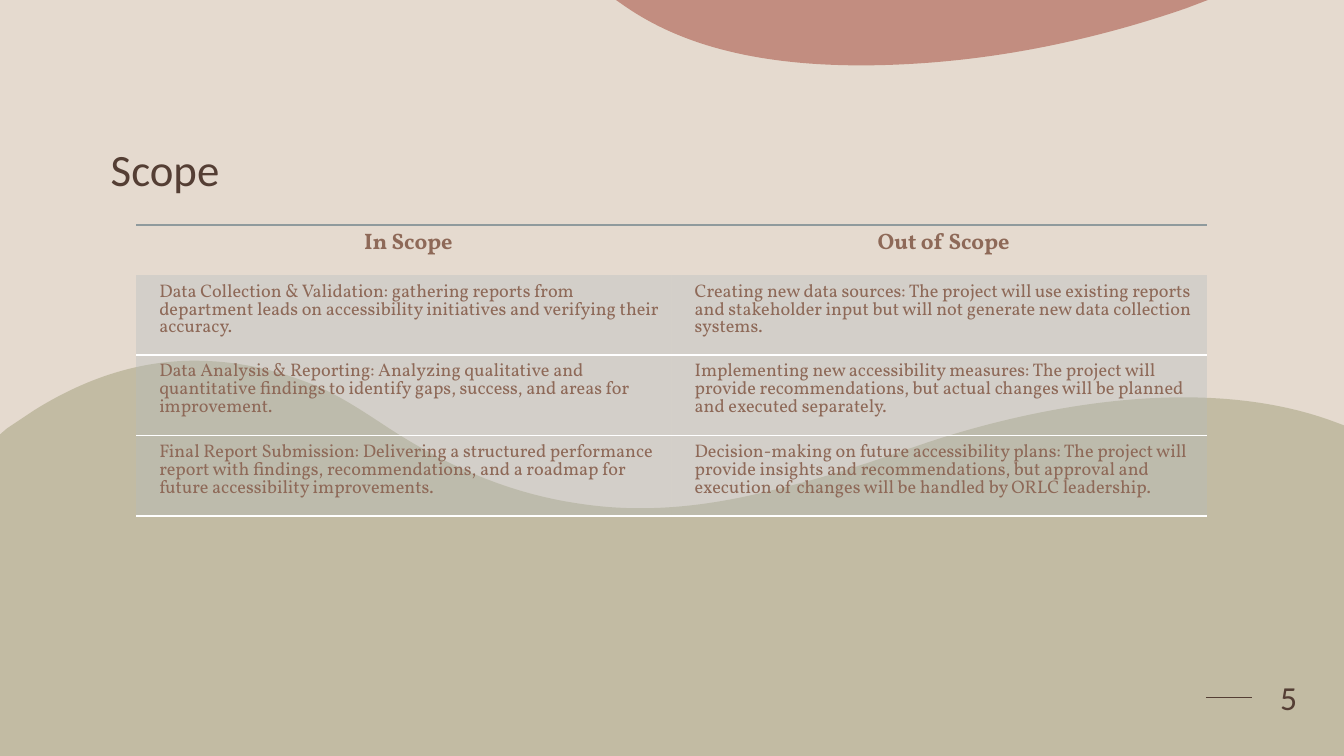
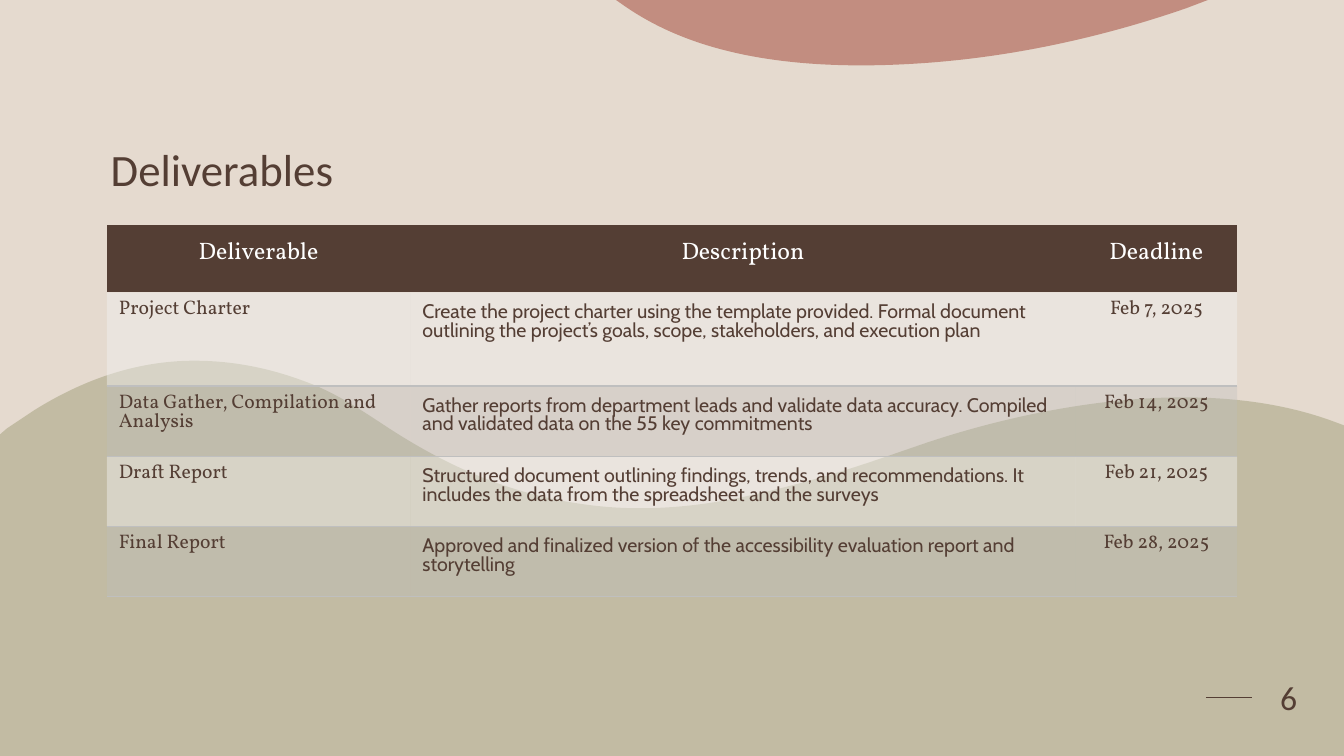
from lxml import etree
from pptx import Presentation, oxml
from pptx import util as u
from pptx.dml import color
from pptx.enum import shapes, text
from pptx.oxml import ns

BROWN, CLAY, STONE, SILVER, PALE = "543E34", "8E6958", "B4BCBE", "BFBFBF", "F2F2F2"
SAND, MOSS, ROSE, WHITE, SLATE = "E5DACF", "A09D79", "AC5B4C", "FFFFFF", "8F9A9D"
TITLE_FONT, TABLE_FONT, DETAIL_FONT = "Calibri", "Vollkorn", "Cabin"
LEFT, CENTER = text.PP_ALIGN.LEFT, text.PP_ALIGN.CENTER
TOP, MIDDLE, BOTTOM = text.MSO_ANCHOR.TOP, text.MSO_ANCHOR.MIDDLE, text.MSO_ANCHOR.BOTTOM
PLAIN_TABLE = "{2D5ABB26-0587-4C30-8999-92F81FD0307C}"

HILLS = [
    (2.02, 3.58),
    (2.36, 3.59, 2.7, 3.66, 3.04, 3.79), (3.34, 3.9, 3.6, 4.08, 3.86, 4.25),
    (4.43, 4.62, 5.05, 4.9, 5.77, 5), (6.37, 5.09, 6.98, 5.03, 7.59, 4.88),
    (8.27, 4.72, 8.67, 4.57, 9.08, 4.43), (9.48, 4.29, 11.61, 3.57, 13.25, 4.19),
    (13.33, 4.22), (13.33, 7.5), (0, 7.5), (0, 4.31), (0.07, 4.25),
    (0.16, 4.19, 0.25, 4.13, 0.34, 4.07), (0.9, 3.72, 1.46, 3.56, 2.02, 3.58),
]
CLOUD = [
    (6.11, 0), (11.98, 0), (11.77, 0.08),
    (10.56, 0.5, 9.61, 0.59, 9.24, 0.62), (7.56, 0.75, 6.71, 0.41, 6.21, 0.07),
]

SCOPE = [
    ("In Scope", "Out of Scope"),
    ("Data Collection & Validation: gathering reports from department leads on "
     "accessibility initiatives and verifying their accuracy.",
     "Creating new data sources: The project will use existing reports and "
     "stakeholder input but will not generate new data collection systems."),
    ("Data Analysis & Reporting: Analyzing qualitative and quantitative findings to "
     "identify gaps, success, and areas for improvement.",
     "Implementing new accessibility measures: The project will provide "
     "recommendations, but actual changes will be planned and executed separately."),
    ("Final Report Submission: Delivering a structured performance report with "
     "findings, recommendations, and a roadmap for future accessibility improvements.",
     "Decision-making on future accessibility plans: The project will provide insights "
     "and recommendations, but approval and execution of changes will be handled by "
     "ORLC leadership."),
]
DELIVERABLES = [
    ("Deliverable", "Description", "Deadline"),
    ("Project Charter",
     "Create the project charter using the template provided. Formal document outlining "
     "the project’s goals, scope, stakeholders, and execution plan", "Feb 7, 2025"),
    ("Data Gather, Compilation and Analysis",
     "Gather reports from department leads and validate data accuracy. Compiled and "
     "validated data on the 55 key commitments", "Feb 14, 2025"),
    ("Draft Report",
     "Structured document outlining findings, trends, and recommendations. It includes "
     "the data from the spreadsheet and the surveys", "Feb 21, 2025"),
    ("Final Report",
     "Approved and finalized version of the accessibility evaluation report and "
     "storytelling", "Feb 28, 2025"),
]


def rgb(value):
    """Return the colour for a hex string."""
    return color.RGBColor.from_string(value)


def paint(fill, value, opacity=100):
    """Fill with a solid colour at an opacity in percent."""
    fill.solid()
    fill.fore_color.rgb = rgb(value)
    if opacity < 100:
        solid = fill._xPr.find(ns.qn("a:solidFill"))
        alpha = etree.SubElement(solid[0], ns.qn("a:alpha"))
        alpha.set("val", str(opacity * 1000))


def write(frame, words, size=14, font=TABLE_FONT, ink=BROWN, bold=False, align=LEFT,
          spacing=1.0, before=0, after=0):
    """Write one formatted paragraph into a text frame."""
    frame.word_wrap = True
    paragraph = frame.paragraphs[0]
    paragraph.alignment = align
    paragraph.line_spacing = spacing
    paragraph.space_before, paragraph.space_after = u.Pt(before), u.Pt(after)
    run = paragraph.add_run()
    run.text = words
    run.font.size, run.font.name, run.font.bold = u.Pt(size), font, bold
    run.font.color.rgb = rgb(ink)


def add_text(slide, box, words, anchor, **style):
    """Add a text box at left, top, width, height in inches."""
    frame = slide.shapes.add_textbox(*map(u.Inches, box)).text_frame
    frame.vertical_anchor = anchor
    write(frame, words, font=TITLE_FONT, **style)


def bend(wave, outline):
    """Turn the straight segments of a wave into curves where the outline has them."""
    segments = list(wave._element.iter(ns.qn("a:lnTo")))
    for segment, part in zip(segments, outline[1:]):
        if len(part) == 2:
            continue
        curve = etree.Element(ns.qn("a:cubicBezTo"))
        for x, y in zip(part[::2], part[1::2]):
            point = etree.SubElement(curve, ns.qn("a:pt"))
            point.set("x", str(u.Inches(x) - wave.left))
            point.set("y", str(u.Inches(y) - wave.top))
        segment.getparent().replace(segment, curve)


def add_wave(slide, outline, value, opacity):
    """Add a translucent curved area."""
    start, *corners = [tuple(map(u.Inches, part[-2:])) for part in outline]
    builder = slide.shapes.build_freeform(*start, scale=1.0)
    builder.add_line_segments(corners, close=True)
    wave = builder.convert_to_shape()
    bend(wave, outline)
    wave.shadow.inherit = False
    paint(wave.fill, value, opacity)
    wave.line.fill.background()


def add_page_number(slide, number, box):
    """Add the page number and the short rule to its left."""
    left, top, _, height = box
    middle = top + height / 2
    rule = slide.shapes.add_connector(
        shapes.MSO_CONNECTOR.STRAIGHT,
        *map(u.Inches, (left - 0.46, middle, left, middle)))
    rule.line.color.rgb = rgb(BROWN)
    rule.line.width = u.Pt(1.25)
    etree.SubElement(rule._element.spPr, ns.qn("a:effectLst"))
    add_text(slide, box, str(number), MIDDLE, size=24, align=CENTER, after=6)


def add_page(deck, title, number):
    """Add a slide with the shared waves, title and page number."""
    slide = deck.slides.add_slide(deck.slide_layouts[6])
    paint(slide.background.fill, SAND)
    add_wave(slide, HILLS, MOSS, 50)
    add_wave(slide, CLOUD, ROSE, 60)
    add_text(slide, (1, 1, 11.33, 1), title, BOTTOM, size=32, spacing=0.9)
    add_page_number(slide, number, (12.42, 6.43, 0.72, 0.98))
    return slide


def add_border(cell, side, value, width, opacity=100):
    """Draw the bottom (B) border of a cell, or after it the top (T) one."""
    cell._tc.get_or_add_tcPr().insert(0, oxml.parse_xml(
        f'<a:ln{side} {ns.nsdecls("a")} w="{u.Pt(width)}"><a:solidFill>'
        f'<a:srgbClr val="{value}"><a:alpha val="{opacity * 1000}"/></a:srgbClr>'
        f'</a:solidFill><a:prstDash val="solid"/></a:ln{side}>'))


def add_grid(slide, left, top, widths, heights):
    """Add an unstyled table with the given column widths and row heights."""
    box = map(u.Inches, (left, top, sum(widths), sum(heights)))
    table = slide.shapes.add_table(len(heights), len(widths), *box).table
    table.first_row = table.horz_banding = False
    table._tbl.tblPr.find(ns.qn("a:tableStyleId")).text = PLAIN_TABLE
    for column, width in zip(table.columns, widths):
        column.width = u.Inches(width)
    for row, height in zip(table.rows, heights):
        row.height = u.Inches(height)
    return table


def fill_cell(cell, words, insets, anchor=TOP, tint=None, **style):
    """Set the text, margins and background of a cell."""
    (cell.margin_left, cell.margin_top,
     cell.margin_right, cell.margin_bottom) = map(u.Inches, insets)
    cell.vertical_anchor = anchor
    write(cell.text_frame, words, before=3, after=3, **style)
    if tint:
        paint(cell.fill, *tint)
    else:
        cell.fill.background()


def add_scope_table(slide, left, top):
    """Add the two-column table of what is in and out of scope."""
    table = add_grid(slide, left, top, (5.31, 5.31), (0.5, 0.79, 0.8, 0.8))
    for r, entries in enumerate(SCOPE):
        for c, words in enumerate(entries):
            cell = table.cell(r, c)
            style = dict(ink=CLAY, spacing=u.Pt(12.8))
            if r == 0:
                fill_cell(cell, words, (0.23, 0.14, 0.14, 0.14), MIDDLE, size=16,
                          bold=True, align=CENTER, **style)
                add_border(cell, "T", SLATE, 1.5)
                continue
            fill_cell(cell, words, (0.23, 0.12, 0.12, 0.12), tint=(STONE, 35),
                      size=13, **style)
            add_border(cell, "B", WHITE, 1.5)
            if r > 1:
                add_border(cell, "T", WHITE, 1.5)


def add_deliverables_table(slide, left, top):
    """Add the table of deliverables with alternating bands."""
    table = add_grid(slide, left, top, (3.01, 6.6, 1.6), (0.67, 0.93, 0.7, 0.69, 0.7))
    insets = (0.12, 0.12, 0.12, 0.06)
    fonts = (TABLE_FONT, DETAIL_FONT, TABLE_FONT)
    aligns = (LEFT, LEFT, CENTER)
    for r, entries in enumerate(DELIVERABLES):
        for c, words in enumerate(entries):
            cell = table.cell(r, c)
            if r == 0:
                fill_cell(cell, words, insets, MIDDLE, (BROWN,), size=17, ink=WHITE,
                          align=CENTER, spacing=u.Pt(12.8))
                continue
            light = r % 2 == 1
            fill_cell(cell, words, insets, tint=(PALE, 45) if light else (SILVER, 35),
                      font=fonts[c], align=aligns[c], spacing=u.Pt(13.5))
            add_border(cell, "B", SILVER, 1)
            if not light:
                add_border(cell, "T", SILVER, 1)


def main():
    """Build and save the two slides."""
    deck = Presentation()
    deck.slide_width, deck.slide_height = u.Inches(13.33), u.Inches(7.5)
    add_scope_table(add_page(deck, "Scope", 5), 1.35, 2.23)
    add_deliverables_table(add_page(deck, "Deliverables", 6), 1.06, 2.23)
    deck.save("out.pptx")


if __name__ == "__main__":
    main()
